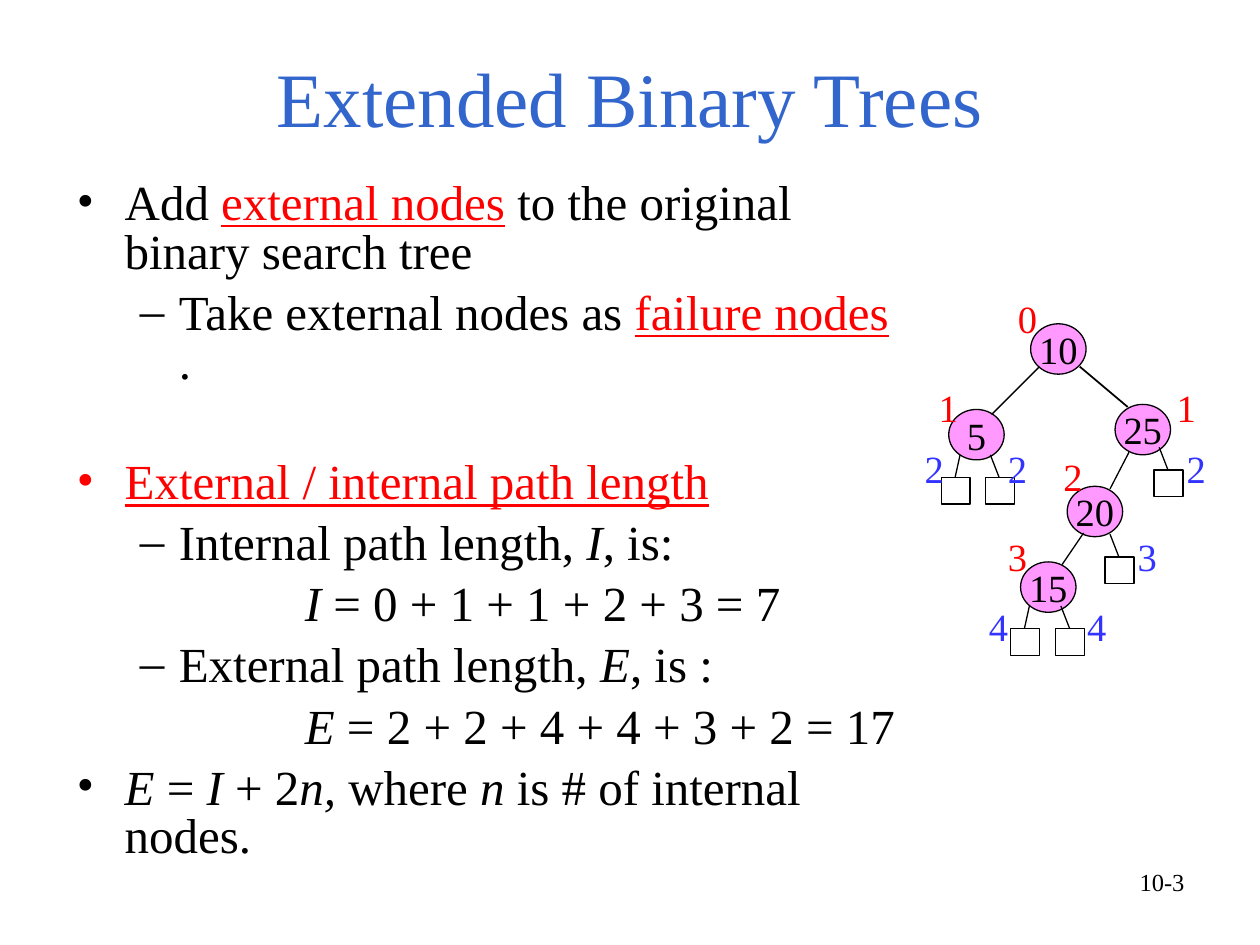
"""Build the slide on extended binary trees."""
from lxml import etree
from pptx import Presentation
from pptx.dml.color import RGBColor
from pptx.enum.shapes import MSO_CONNECTOR, MSO_SHAPE
from pptx.enum.text import MSO_ANCHOR, MSO_AUTO_SIZE, PP_ALIGN
from pptx.oxml.ns import qn
from pptx.util import Inches, Pt

LINE, OVAL, RECT = MSO_CONNECTOR.STRAIGHT, MSO_SHAPE.OVAL, MSO_SHAPE.RECTANGLE
TOP, MIDDLE = MSO_ANCHOR.TOP, MSO_ANCHOR.MIDDLE
FIXED = MSO_AUTO_SIZE.NONE
LEFT, MID, RIGHT = PP_ALIGN.LEFT, PP_ALIGN.CENTER, PP_ALIGN.RIGHT

FONT = "Times New Roman"
INK = {"title": "3366CC", "text": "000000", "key": "FF0000",
       "depth": "3333FF", "node": "FF99FF"}
COLS, ROWS = 100, 75
NODE, LEAF, TAG = (4.4, 4), (2.3, 2.1), (3.5, 4.7)

KEY = {"ink": "key", "under": True}
ITAL = {"ital": True}
POINT = {"left": 0.38, "hang": 0.38, "mark": "•"}
DASH = {"left": 0.81, "hang": 0.31, "mark": "–", "level": 1}
SUM = {"left": 1.81, "level": 1}
LIST = [
    (POINT | {"gap": 0}, [("Add ", {}), ("external nodes", KEY),
                          (" to the original binary search tree", {})]),
    (DASH, [("Take external nodes as ", {}), ("failure nodes", KEY), (" .", {})]),
    (POINT | {"gap": 41, "ink": "key"}, [("External / internal path length", KEY)]),
    (DASH, [("Internal path length, ", {}), ("I", ITAL), (", is:", {})]),
    (SUM, [("I", ITAL), (" = 0 + 1 + 1 + 2 + 3 = 7", {})]),
    (DASH, [("External path length, ", {}), ("E", ITAL), (", is :", {})]),
    (SUM, [("E", ITAL), (" = 2 + 2 + 4 + 4 + 3 + 2 = 17", {})]),
    (POINT, [("E", ITAL), (" = ", {}), ("I", ITAL), (" + 2", {}), ("n, ", ITAL),
             ("where ", {}), ("n", ITAL), (" is # of internal nodes.", {})]),
]

NODES = [("10", 81.8, 25.7), ("25", 88.5, 32.1), ("20", 84.7, 38.6),
         ("15", 81, 44.6), ("5", 75.3, 32.5)]
EDGES = [(89.6, 35.9, 88.1, 38.8, 0.75), (86, 42.3, 84.3, 44.8, 0.75),
         (85.7, 29.1, 89.5, 32.3, 1), (82.5, 29.1, 78.7, 32.9, 0.75)]
LEAVES = [(74.7, 37.9, 0.4), (78.2, 37.9, -0.7), (80.2, 49.9, 0.4),
          (83.8, 49.9, -0.7), (87.7, 44.2, -0.7), (91.6, 37.3, -0.7)]
TAGS = {
    "key": [("0", 79.8, 22.9), ("1", 73.5, 30), ("1", 92.4, 30),
            ("2", 83.4, 35.5), ("3", 79, 41.8)],
    "depth": [("2", 72.4, 34.8), ("2", 79, 34.8), ("2", 93.2, 34.8),
              ("3", 89.3, 41.8), ("4", 77.5, 47.4), ("4", 85.3, 47.4)],
}


def color(name):
    return RGBColor.from_string(INK[name])


def write(para, text, size=28, ink="text", under=False, ital=False):
    run = para.add_run()
    run.text = text
    font = run.font
    font.name, font.size = FONT, Pt(size)
    font.color.rgb = color(ink)
    font.underline, font.italic = under, ital


class Deck:
    def __init__(self):
        self.prs = Presentation()
        self.prs.slide_width, self.prs.slide_height = Inches(10), Inches(7.5)
        self.slide = self.prs.slides.add_slide(self.prs.slide_layouts[1])
        self.tree = self.slide.shapes.add_group_shape().shapes

    def grid(self, x, y):
        return (round(self.prs.slide_width * x / COLS),
                round(self.prs.slide_height * y / ROWS))

    def place(self, shape, x, y, wide, high):
        shape.left, shape.top = self.grid(x, y)
        shape.width, shape.height = self.grid(wide, high)
        shape.text_frame.auto_size = FIXED
        return shape.text_frame

    def title(self, text, *box):
        frame = self.place(self.slide.shapes.title, *box)
        frame.vertical_anchor = MIDDLE
        para = frame.paragraphs[0]
        para.alignment = MID
        write(para, text, size=44, ink="title")

    def body(self, items, *box):
        frame = self.place(self.slide.placeholders[1], *box)
        frame.vertical_anchor = TOP
        for num, (style, spans) in enumerate(items):
            para = frame.add_paragraph() if num else frame.paragraphs[0]
            self.bullet(para, **style)
            for text, look in spans:
                write(para, text, **look)

    def bullet(self, para, left, hang=0, mark=None, level=0, gap=7, ink="text"):
        prop = para._p.get_or_add_pPr()
        prop.set("marL", str(Inches(left)))
        prop.set("indent", str(-Inches(hang)))
        if mark:
            tone = etree.SubElement(prop, qn("a:buClr"))
            etree.SubElement(tone, qn("a:srgbClr"), val=INK[ink])
            etree.SubElement(prop, qn("a:buFont"), typeface=FONT)
            etree.SubElement(prop, qn("a:buChar"), char=mark)
        else:
            etree.SubElement(prop, qn("a:buNone"))
        para.level, para.alignment = level, LEFT
        para.line_spacing, para.space_before = 0.83, Pt(gap)

    def label(self, text, x, y, size, ink="text", box=TAG, align=LEFT, home=None):
        shape = (home or self.tree).add_textbox(*self.grid(x, y), *self.grid(*box))
        shape.text_frame.word_wrap = True
        para = shape.text_frame.paragraphs[0]
        para.alignment = align
        write(para, text, size=size, ink=ink)

    def shape(self, kind, x, y, box):
        shape = self.tree.add_shape(kind, *self.grid(x, y), *self.grid(*box))
        shape.shadow.inherit = False
        shape.fill.background()
        shape.line.color.rgb = color("text")
        shape.line.width = Pt(0.75)
        return shape

    def node(self, text, x, y):
        shape = self.shape(OVAL, x, y, NODE)
        shape.fill.solid()
        shape.fill.fore_color.rgb = color("node")
        frame = shape.text_frame
        frame.word_wrap, frame.vertical_anchor = False, MIDDLE
        frame.paragraphs[0].alignment = MID
        write(frame.paragraphs[0], text, size=22)

    def edge(self, x, y, end, low, width=0.75):
        line = self.tree.add_connector(LINE, *self.grid(x, y), *self.grid(end, low))
        line.line.color.rgb = color("text")
        line.line.width = Pt(width)
        etree.SubElement(line._element.spPr, qn("a:effectLst"))

    def leaf(self, x, y, lean):
        self.shape(RECT, x, y, LEAF)
        stem = x + 1.1
        self.edge(stem + lean, y - 1.8, stem, y)


def main():
    deck = Deck()
    deck.title("Extended Binary Trees", 5, 1.4, 90, 12.5)
    deck.body(LIST, 5.1, 13.9, 67.3, 57.5)
    for node in NODES:
        deck.node(*node)
    for edge in EDGES:
        deck.edge(*edge)
    for leaf in LEAVES:
        deck.leaf(*leaf)
    for ink, tags in TAGS.items():
        for tag in tags:
            deck.label(*tag, size=22, ink=ink)
    deck.label("10-3", 71.7, 68.3, size=14, box=(23.3, 5.2), align=RIGHT,
               home=deck.slide.shapes)
    deck.prs.save("out.pptx")


if __name__ == "__main__":
    main()
